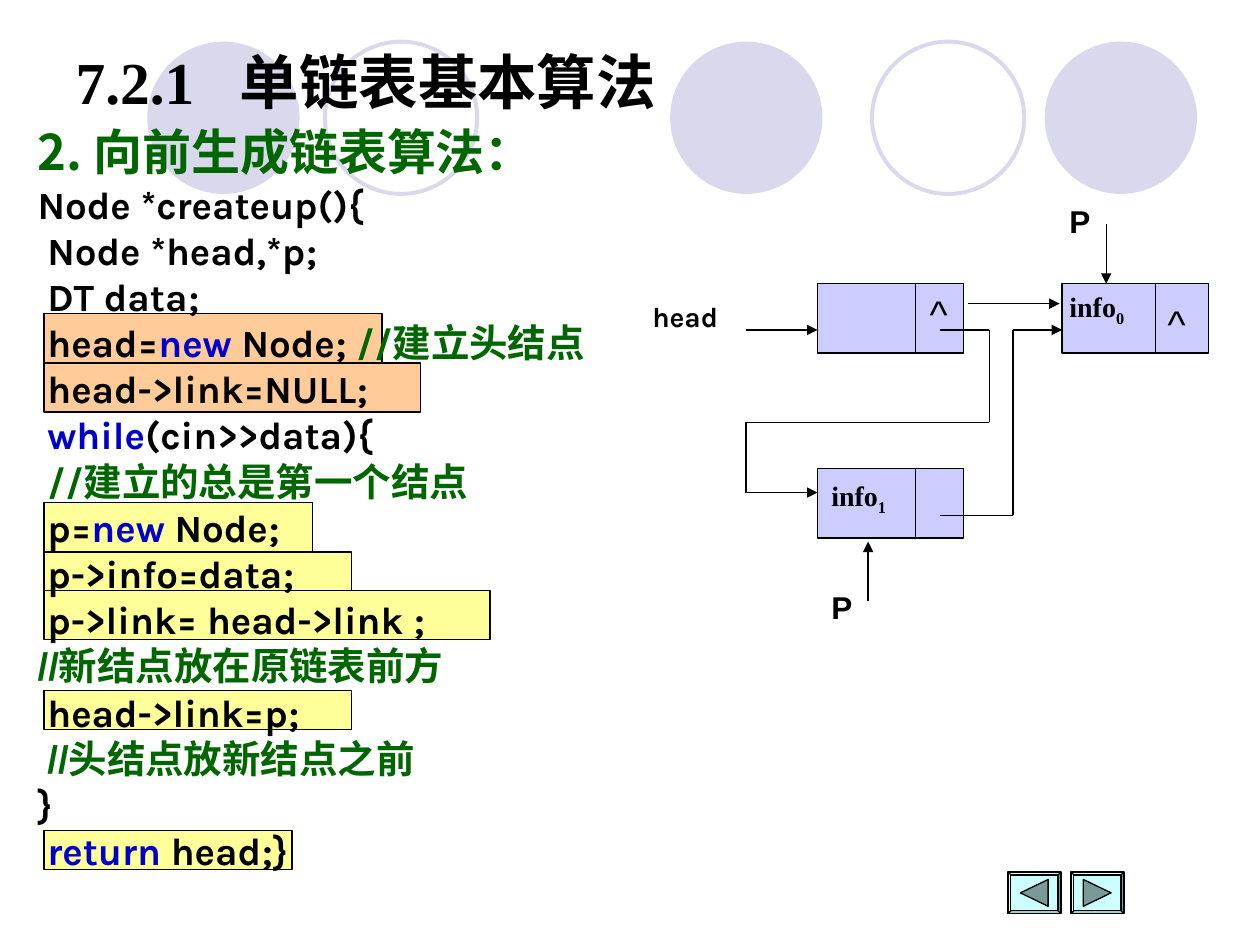
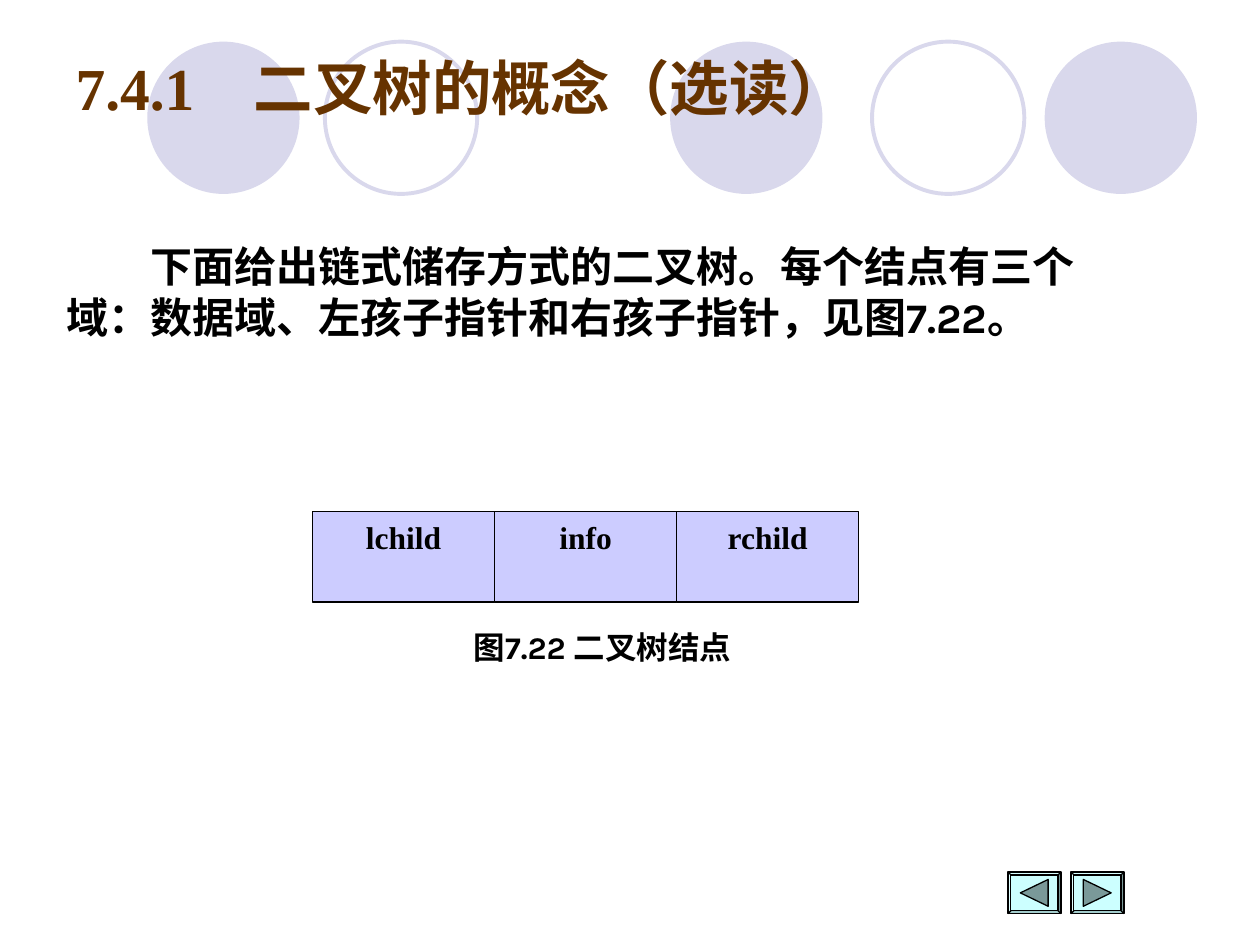
from lxml import etree
from pptx import Presentation
from pptx.dml.color import RGBColor
from pptx.enum.shapes import MSO_CONNECTOR, MSO_SHAPE
from pptx.enum.text import MSO_ANCHOR, MSO_AUTO_SIZE, PP_ALIGN
from pptx.oxml.ns import qn
from pptx.util import Cm, Pt

RECTANGLE, ELLIPSE, BEVEL = MSO_SHAPE.RECTANGLE, MSO_SHAPE.OVAL, MSO_SHAPE.BEVEL
STRAIGHT = MSO_CONNECTOR.STRAIGHT
TOP, MIDDLE = MSO_ANCHOR.TOP, MSO_ANCHOR.MIDDLE
LEFT, CENTER, JUSTIFY = PP_ALIGN.LEFT, PP_ALIGN.CENTER, PP_ALIGN.JUSTIFY
TITLE_ONLY = 5

COLORS = {
    "black": "000000", "brown": "663300", "green": "006600", "blue": "0000CC",
    "circle": "D9D8EC", "node": "CCCCFF", "button": "CCFFFF", "button_icon": "7A9999",
    "orange": "FFCC99", "yellow": "FFFF99",
}
SERIF, SANS, CODE, CJK = "Times New Roman", "Arial", "Karla", "Noto Sans CJK SC"
LINE_HEIGHT = 1.2


def color(name):
    return RGBColor.from_string(COLORS[name])


def add_run(paragraph, text, *, size=18, font=SERIF, fill="black", bold=True, baseline=0):
    """Append formatted text to a paragraph."""
    run = paragraph.add_run()
    run.text = text
    run.font.size = Pt(size)
    run.font.name = font
    run.font.bold = bold
    run.font.color.rgb = color(fill)
    properties = run._r.get_or_add_rPr()
    if baseline:
        properties.set("baseline", str(baseline * 1000))
    latin = properties.find(qn("a:latin"))
    east_asian = etree.Element(qn("a:ea"), typeface=CJK)
    latin.addnext(east_asian)


class Deck:
    """Holds the presentation, its shared style and the current slide."""

    def __init__(self):
        self.presentation = Presentation()
        self.presentation.slide_width = Cm(25.4)
        self.presentation.slide_height = Cm(19.05)
        self.layout = self.presentation.slide_layouts[TITLE_ONLY]
        self.slide = None

    def start_slide(self, title, top, height, fill, tab=None):
        is_first = self.slide is None
        self.slide = self.presentation.slides.add_slide(self.layout)
        if is_first:
            self.circle_band()
        shape = self.slide.shapes.title
        shape.left, shape.top, shape.width, shape.height = Cm(1.27), Cm(top), Cm(22.86), Cm(height)
        frame = shape.text_frame
        frame.auto_size = MSO_AUTO_SIZE.NONE
        frame.vertical_anchor = MIDDLE
        paragraph = frame.paragraphs[0]
        paragraph.alignment = LEFT
        if tab:
            tabs = etree.SubElement(paragraph._p.get_or_add_pPr(), qn("a:tabLst"))
            etree.SubElement(tabs, qn("a:tab"), pos=str(Cm(tab)), algn="l")
        add_run(paragraph, title, size=34, fill=fill)

    def circle_band(self):
        """Draw the circles once, on the layout that all slides share."""
        for left, is_filled in ((2.97, True), (6.55, False), (13.51, True),
                                (17.58, False), (21.06, True)):
            circle = self.shape(ELLIPSE, left, 0.84, 3.07, 3.07,
                                fill="circle" if is_filled else None,
                                line=None if is_filled else "circle", line_width=2.25)
            self.layout.shapes.element.insert(2, circle.element)

    def paint(self, shape, fill, line, line_width):
        shape.shadow.inherit = False
        if fill:
            shape.fill.solid()
            shape.fill.fore_color.rgb = color(fill)
        else:
            shape.fill.background()
        if line:
            shape.line.color.rgb = color(line)
            shape.line.width = Pt(line_width)
        else:
            shape.line.fill.background()

    def shape(self, kind, left, top, width, height, fill=None, line="black", line_width=0.75):
        shape = self.slide.shapes.add_shape(kind, Cm(left), Cm(top), Cm(width), Cm(height))
        self.paint(shape, fill, line, line_width)
        return shape

    def polygon(self, points, fill):
        corners = [(Cm(x), Cm(y)) for x, y in points]
        builder = self.slide.shapes.build_freeform(*corners[0])
        builder.add_line_segments(corners[1:], close=True)
        self.paint(builder.convert_to_shape(), fill, "black", 0.75)

    def route(self, *points, has_arrow=True):
        """Join points with straight lines; the last one may carry an arrowhead."""
        for start, end in zip(points, points[1:]):
            connector = self.slide.shapes.add_connector(
                STRAIGHT, *(Cm(value) for value in (*start, *end)))
            connector.line.color.rgb = color("black")
            connector.line.width = Pt(0.75)
            properties = connector._element.spPr
            if has_arrow and end == points[-1]:
                etree.SubElement(properties.find(qn("a:ln")), qn("a:tailEnd"), type="triangle")
            etree.SubElement(properties, qn("a:effectLst"))

    def text(self, left, top, width, height, paragraphs, *, alignment=LEFT,
             line_spacing=False, indent=0):
        """Each paragraph is a list of (text, format) runs."""
        box = self.slide.shapes.add_textbox(Cm(left), Cm(top), Cm(width), Cm(height))
        frame = box.text_frame
        frame.word_wrap = True
        for index, runs in enumerate(paragraphs):
            paragraph = frame.add_paragraph() if index else frame.paragraphs[0]
            paragraph.alignment = alignment
            if line_spacing:
                largest = max(style["size"] for _, style in runs)
                paragraph.line_spacing = Pt(round(largest * LINE_HEIGHT, 1))
            if indent:
                paragraph._p.get_or_add_pPr().set("indent", str(Cm(indent)))
            for text, style in runs:
                add_run(paragraph, text, **style)

    def label(self, left, top, text, width=1.1, **style):
        self.text(left, top, width, 1.1, [[(text, style)]])

    def node(self, left, top, divider):
        width, height = 2.95, 1.4
        self.shape(RECTANGLE, left, top, width, height, fill="node")
        self.route((left + divider, top), (left + divider, top + height), has_arrow=False)

    def field(self, left, top, width, height, text):
        shape = self.shape(RECTANGLE, left, top, width, height, fill="node")
        shape.text_frame.vertical_anchor = TOP
        paragraph = shape.text_frame.paragraphs[0]
        paragraph.alignment = CENTER
        add_run(paragraph, text)

    def navigation(self):
        top = 17.58
        for left, tip, base in ((20.32, 0.25, 0.81), (21.59, 0.81, 0.25)):
            button = self.shape(BEVEL, left, top, 1.07, 0.84, fill="button")
            button.adjustments[0] = 0.07
            self.polygon([(left + tip, top + 0.42), (left + base, top + 0.15),
                          (left + base, top + 0.69)], "button_icon")

    def save(self):
        self.presentation.save("out.pptx")


def code(text, fill="black", font=CODE, size=22):
    return text, {"size": size, "font": font, "fill": fill}


def keyword(text):
    return code(text, "blue")


def comment(text, font=SERIF):
    return code(text, "green", font)


def build_linked_list(deck):
    deck.start_slide("7.2.1\t单链表基本算法", 0.76, 1.75, "black", tab=3.31)

    # Nodes and pointers
    for left, top, divider in ((16.48, 5.72, 1.98), (21.41, 5.72, 1.88), (16.48, 9.45, 1.98)):
        deck.node(left, top, divider)
    deck.route((15.04, 6.65), (16.48, 6.65))
    deck.route((18.95, 6.65), (19.94, 6.65), (19.94, 8.51),
               (15.04, 8.51), (15.04, 9.93), (16.48, 9.93))
    deck.route((18.95, 10.39), (20.42, 10.39), (20.42, 6.65), (21.41, 6.65))
    deck.route((19.51, 6.12), (21.36, 6.12))
    deck.route((22.3, 4.52), (22.3, 5.72))
    deck.route((17.5, 12.12), (17.5, 10.92))

    # Diagram labels
    deck.label(12.9, 5.92, "head", width=3.18, size=16, font=CODE)
    for left, top in ((18.49, 5.72), (23.29, 5.92)):
        deck.label(left, top, "^", size=22, font=SANS, bold=False)
    for left, top in ((21.31, 3.94), (16.51, 11.73)):
        deck.label(left, top, "P", font=SANS)
    for left, top, number in ((21.31, 5.72, "0"), (16.51, 9.53, "1")):
        deck.text(left, top, 2, 1.3, [[("info", {"size": 16}),
                                       (number, {"size": 16, "baseline": -25})]])

    # Highlighted code lines
    for top, width, height, fill in (
            (6.32, 6.81, 0.99, "orange"), (7.32, 7.59, 0.99, "orange"),
            (10.13, 5.41, 0.99, "yellow"), (11.13, 6.2, 0.79, "yellow"),
            (11.91, 8.99, 0.99, "yellow"), (13.92, 6.2, 0.79, "yellow"),
            (16.74, 5, 0.79, "yellow")):
        deck.shape(RECTANGLE, 0.89, top, width, height, fill=fill)

    # Code listing
    deck.text(0.51, 2.33, 12.6, 15.42, [
        [code("2. 向前生成链表算法：", "green", CJK, 28)],
        [code("Node *createup(){")],
        [code(" Node *head,*p;")],
        [code(" DT data;")],
        [code(" head="), keyword("new "), code("Node; "),
         comment("//", CODE), comment("建立头结点")],
        [code(" head->link=NULL;")],
        [code(" "), keyword("while"), code("(cin>>data){")],
        [code(" "), comment("//", CODE), comment("建立的总是第一个结点")],
        [code(" p="), keyword("new "), code("Node;")],
        [code(" p->info=data;")],
        [code(" p->link= head->link ;")],
        [comment("//新结点放在原链表前方", SANS)],
        [code(" head->link=p;")],
        [code(" "), comment("//头结点放新结点之前", SANS)],
        [code("}")],
        [code(" "), keyword("return"), code(" head;}")],
    ], alignment=JUSTIFY, line_spacing=True)
    deck.navigation()


def build_binary_tree(deck):
    deck.start_slide("7.4.1　二叉树的概念（选读）", 0.76, 1.96, "brown")

    # Introduction
    deck.text(1.09, 4.73, 21.6, 2.29, [[
        ("下面给出链式储存方式的二叉树。每个结点有三个域：数据域、左孩子指针和右孩子指针，见图",
         {"size": 24}),
        ("7.22", {"size": 24, "font": CODE}),
        ("。", {"size": 24}),
    ]], line_spacing=True, indent=1.69)

    # Node fields and caption
    field_width = 3.67
    for index, name in enumerate(("lchild", "info", "rchild")):
        deck.field(6.3 + index * field_width, 10.31, field_width, 1.83, name)
    deck.text(9.3, 12.54, 6.2, 1.27, [[
        ("图", {"size": 18}),
        ("7.22 ", {"size": 18, "font": CODE}),
        ("二叉树结点", {"size": 18}),
    ]])
    deck.navigation()


def main():
    deck = Deck()
    build_linked_list(deck)
    build_binary_tree(deck)
    deck.save()


if __name__ == "__main__":
    main()
